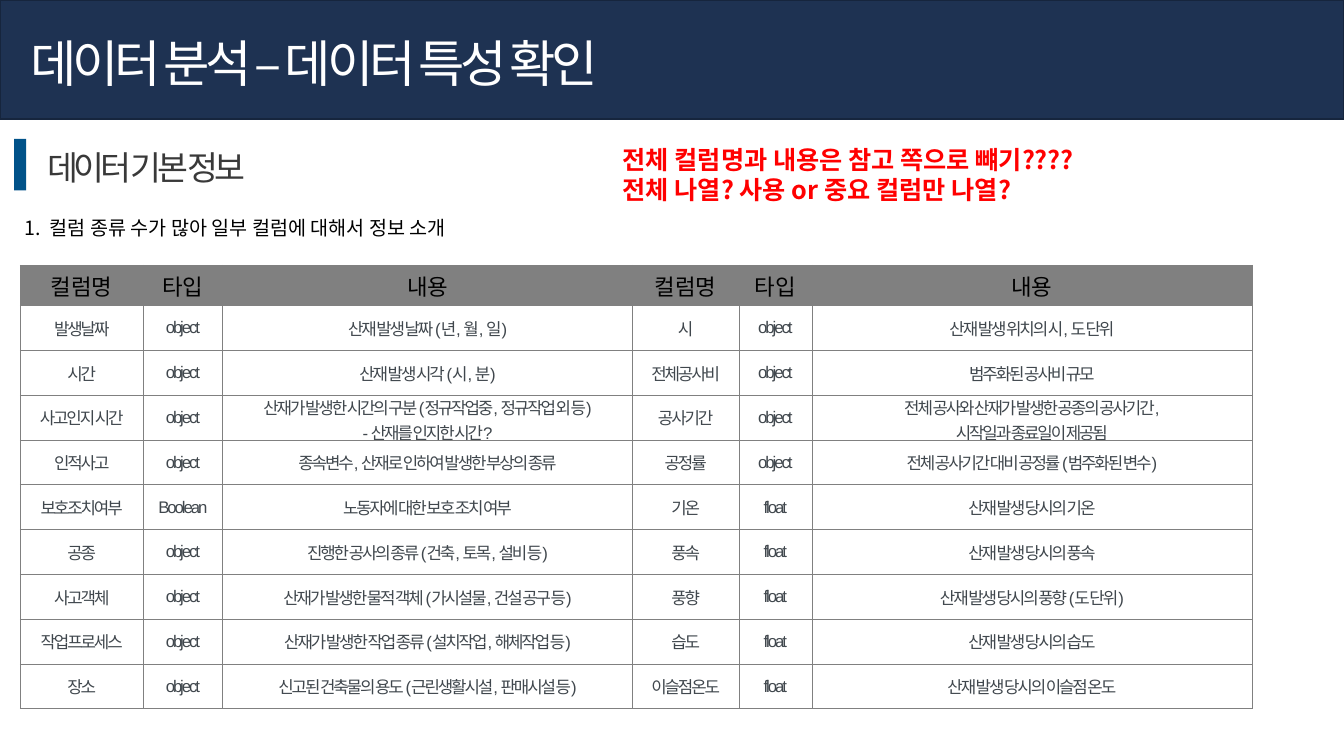
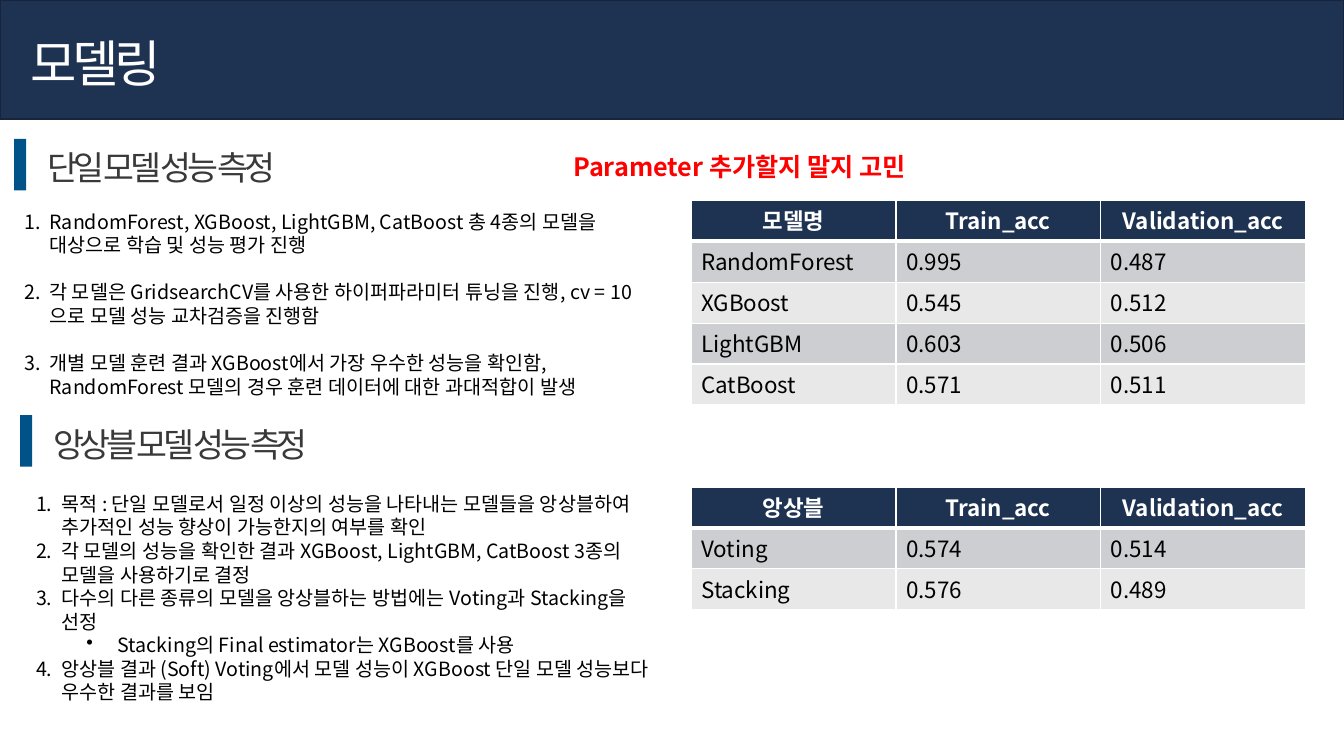
from dataclasses import dataclass, replace

from pptx import Presentation
from pptx.dml.color import RGBColor
from pptx.enum.shapes import MSO_SHAPE
from pptx.enum.text import MSO_ANCHOR, MSO_AUTO_SIZE, PP_ALIGN
from pptx.oxml import parse_xml
from pptx.oxml.ns import nsdecls, qn
from pptx.util import Cm, Pt

NAVY, BLUE, WHITE, BLACK, GRAY = "1E3252", "005289", "FFFFFF", "000000", "808080"
STRIPES = ("CDCED1", "E8E8E9")
PAGE_WIDTH, PAGE_HEIGHT = 33.87, 19.05
PLAIN_TABLE = "{2D5ABB26-0587-4C30-8999-92F81FD0307C}"
KOREAN = "Noto Sans CJK KR"


@dataclass(frozen=True)
class TextStyle:
    """Font, size, colour and spacing of a paragraph."""

    size: float
    color: str
    leading: float = 0
    tracking: int = 0
    bold: bool = False
    name: str = KOREAN


TITLE = TextStyle(36, WHITE, 46.8, -300)
HEADING = TextStyle(24, "393939", 31.2, -300)
BODY = TextStyle(14, BLACK, 16.8)
REMARK = TextStyle(18, "FF0000", 21.6, bold=True)
COLUMN_HEAD = TextStyle(16, BLACK, name="Arial")
COLUMN_CELL = TextStyle(12, "40474D", tracking=-150, name="Arial")
SCORE_CELL = TextStyle(16, BLACK, 22)
SCORE_HEAD = replace(SCORE_CELL, color=WHITE, bold=True)

COLUMN_TITLES = ("컬럼명", "타입", "내용") * 2
COLUMN_ROWS = (
    ("발생날짜", "object", "산재 발생 날짜 (년, 월, 일)",
     "시", "object", "산재 발생 위치의 시, 도 단위"),
    ("시간", "object", "산재 발생 시각 (시, 분)",
     "전체공사비", "object", "범주화된 공사비 규모"),
    ("사고인지 시간", "object",
     "산재가 발생한 시간의 구분 (정규작업중, 정규작업 외 등)\n- 산재를 인지한 시간?",
     "공사기간", "object",
     "전체 공사와 산재가 발생한 공종의 공사기간,\n시작일과 종료일이 제공됨"),
    ("인적사고", "object", "종속변수, 산재로 인하여 발생한 부상의 종류",
     "공정률", "object", "전체 공사기간 대비 공정률 (범주화된 변수)"),
    ("보호조치여부", "Boolean", "노동자에 대한 보호 조치 여부",
     "기온", "float", "산재 발생 당시의 기온"),
    ("공종", "object", "진행한 공사의 종류 (건축, 토목, 설비 등)",
     "풍속", "float", "산재 발생 당시의 풍속"),
    ("사고객체", "object", "산재가 발생한 물적 객체 (가시설물, 건설 공구 등)",
     "풍향", "float", "산재 발생 당시의 풍향 (도 단위)"),
    ("작업프로세스", "object", "산재가 발생한 작업 종류 (설치작업, 해체작업 등)",
     "습도", "float", "산재 발생 당시의 습도"),
    ("장소", "object", "신고된 건축물의 용도 (근린생활시설, 판매시설 등)",
     "이슬점온도", "float", "산재 발생 당시의 이슬점 온도"),
)
SINGLE_POINTS = (
    "RandomForest, XGBoost, LightGBM, CatBoost 총 4종의 모델을 대상으로 학습 및 성능 평가 진행",
    "각 모델은 GridsearchCV를 사용한 하이퍼파라미터 튜닝을 진행, cv = 10으로 모델 성능 교차검증을 진행함",
    "개별 모델 훈련 결과 XGBoost에서 가장 우수한 성능을 확인함, "
    "RandomForest 모델의 경우 훈련 데이터에 대한 과대적합이 발생",
)
ENSEMBLE_POINTS = (
    "목적 : 단일 모델로서 일정 이상의 성능을 나타내는 모델들을 앙상블하여 "
    "추가적인 성능 향상이 가능한지의 여부를 확인",
    "각 모델의 성능을 확인한 결과 XGBoost, LightGBM, CatBoost 3종의 모델을 사용하기로 결정",
    "다수의 다른 종류의 모델을 앙상블하는 방법에는 Voting과 Stacking을 선정",
    ("Stacking의 Final estimator는 XGBoost를 사용",),
    "앙상블 결과 (Soft) Voting에서 모델 성능이 XGBoost 단일 모델 성능보다 우수한 결과를 보임",
)
SINGLE_SCORES = (
    ("RandomForest", "0.995", "0.487"),
    ("XGBoost", "0.545", "0.512"),
    ("LightGBM", "0.603", "0.506"),
    ("CatBoost", "0.571", "0.511"),
)
ENSEMBLE_SCORES = (("Voting", "0.574", "0.514"), ("Stacking", "0.576", "0.489"))


def rgb(value):
    """Turn a hex string into a colour."""
    return RGBColor.from_string(value)


def write(frame, lines, style, align=PP_ALIGN.LEFT):
    """Fill a text frame with one styled paragraph per line."""
    frame.text = "\n".join(lines)
    for paragraph in frame.paragraphs:
        paragraph.alignment = align
        font = paragraph.font
        font.name, font.size, font.bold = style.name, Pt(style.size), style.bold
        font.color.rgb = rgb(style.color)
        if style.leading:
            paragraph.line_spacing = Pt(style.leading)
        properties = paragraph._p.pPr.find(qn("a:defRPr"))
        properties.set("spc", str(style.tracking))
        if style.name == KOREAN:
            latin = properties.find(qn("a:latin"))
            latin.addnext(parse_xml(f'<a:ea {nsdecls("a")} typeface="{KOREAN}"/>'))


def add_text(page, left, top, width, height, lines, style, wrap=True):
    """Add a text box that grows with its text."""
    box = page.shapes.add_textbox(Cm(left), Cm(top), Cm(width), Cm(height))
    frame = box.text_frame
    frame.word_wrap = wrap
    frame.auto_size = MSO_AUTO_SIZE.SHAPE_TO_FIT_TEXT
    write(frame, lines, style)
    return frame


def add_block(page, left, top, width, height, fill, line=None):
    """Add a plain filled rectangle."""
    block = page.shapes.add_shape(
        MSO_SHAPE.RECTANGLE, Cm(left), Cm(top), Cm(width), Cm(height))
    block.shadow.inherit = False
    block.fill.solid()
    block.fill.fore_color.rgb = rgb(fill)
    if line:
        block.line.color.rgb = rgb(line)
        block.line.width = Pt(1)
    else:
        block.line.fill.background()


def add_page(deck, title, title_width):
    """Add a page with its navy title band."""
    page = deck.slides.add_slide(deck.slide_layouts[6])
    add_block(page, 0, 0, PAGE_WIDTH, 3, NAVY, "16253D")
    add_text(page, 0.51, 0.56, title_width, 1.8, [title], TITLE, wrap=False)
    return page


def add_heading(page, left, top, width, text):
    """Add a section heading with its blue bar."""
    add_block(page, left, top, 0.3, 1.3, BLUE)
    add_text(page, left + 0.58, top, width, 1.27, [text], HEADING, wrap=False)


def add_list(page, left, top, width, height, points, gap=0):
    """Add a numbered list in which a tuple is a bulleted sub-point."""
    lines = [point if isinstance(point, str) else point[0] for point in points]
    frame = add_text(page, left, top, width, height, lines, BODY)
    for point, paragraph in zip(points, frame.paragraphs):
        nested = isinstance(point, tuple)
        margin, hanging = (2.06, 0.79) if nested else (0.64, 0.64)
        mark = 'buChar {} char="•"' if nested else 'buAutoNum {} type="arabicPeriod"'
        properties = paragraph._p.pPr
        properties.set("marL", str(Cm(margin)))
        properties.set("indent", str(-Cm(hanging)))
        paragraph.level = int(nested)
        if point is not points[-1]:
            paragraph.space_after = Pt(gap)
        bullet = parse_xml(f"<a:{mark.format(nsdecls('a'))}/>")
        properties.find(qn("a:defRPr")).addprevious(bullet)


def set_borders(cell, color, widths):
    """Draw the left, right, top and bottom borders of a cell."""
    properties = cell._tc.get_or_add_tcPr()
    for index, (side, width) in enumerate(zip("LRTB", widths)):
        properties.insert(index, parse_xml(
            f'<a:ln{side} {nsdecls("a")} w="{Pt(width)}"><a:solidFill>'
            f'<a:srgbClr val="{color}"/></a:solidFill></a:ln{side}>'))


def add_grid(page, left, top, widths, heights, rows):
    """Add an unstyled table and yield each cell with its row number and text."""
    shape = page.shapes.add_table(
        len(rows), len(widths), Cm(left), Cm(top), Cm(sum(widths)), Cm(sum(heights)))
    table = shape.table
    table.horz_banding = False
    table._tbl.tblPr.find(qn("a:tableStyleId")).text = PLAIN_TABLE
    for column, width in zip(table.columns, widths):
        column.width = Cm(width)
    for number, (row, height, texts) in enumerate(zip(table.rows, heights, rows)):
        row.height = Cm(height)
        for cell, text in zip(row.cells, texts):
            cell.fill.solid()
            yield cell, number, text


def add_column_table(page):
    """Add the table that describes the data columns."""
    widths = (3.1, 2, 10.33, 2.68, 1.84, 11.09)
    rows = (COLUMN_TITLES, *COLUMN_ROWS)
    heights = [1.02] + [1.13] * len(COLUMN_ROWS)
    for cell, number, text in add_grid(page, 0.51, 6.68, widths, heights, rows):
        cell.fill.fore_color.rgb = rgb(WHITE if number else GRAY)
        cell.vertical_anchor = MSO_ANCHOR.MIDDLE
        cell.margin_top = cell.margin_bottom = 0
        style = COLUMN_CELL if number else COLUMN_HEAD
        write(cell.text_frame, text.split("\n"), style, PP_ALIGN.CENTER)
        set_borders(cell, GRAY, [0.5] * 4)


def add_score_table(page, top, label, scores):
    """Add a striped table of model accuracies."""
    rows = ((label, "Train_acc", "Validation_acc"), *scores)
    heights = [1.03] * len(rows)
    for cell, number, text in add_grid(page, 17.42, top, [5.16] * 3, heights, rows):
        if number:
            fill, style, align = STRIPES[(number - 1) % 2], SCORE_CELL, PP_ALIGN.LEFT
        else:
            fill, style, align = NAVY, SCORE_HEAD, PP_ALIGN.CENTER
        cell.fill.fore_color.rgb = rgb(fill)
        write(cell.text_frame, [text], style, align)
        set_borders(cell, WHITE, (1, 1, 3 if number == 1 else 1, 1 if number else 3))


def build_data_page(deck):
    """Build the page about the data columns."""
    page = add_page(deck, "데이터 분석 – 데이터 특성 확인", 16.89)
    add_heading(page, 0.36, 3.5, 6.15, "데이터 기본 정보")
    add_list(page, 0.36, 5.31, 24.8, 0.86, ["컬럼 종류 수가 많아 일부 컬럼에 대해서 정보 소개"])
    add_column_table(page)
    add_text(page, 15.44, 3.5, 15.93, 1.8,
             ["전체 컬럼명과 내용은 참고 쪽으로 뺴기????",
              "전체 나열? 사용 or 중요 컬럼만 나열?"], REMARK)


def build_model_page(deck):
    """Build the page about model performance."""
    page = add_page(deck, "모델링", 4.04)
    add_heading(page, 0.36, 3.5, 7.09, "단일 모델 성능 측정")
    add_list(page, 0.36, 5.16, 16.36, 5.05, SINGLE_POINTS, gap=BODY.leading)
    add_heading(page, 0.51, 10.46, 7.82, "앙상블 모델 성능 측정")
    add_list(page, 0.66, 12.27, 16.36, 5.64, ENSEMBLE_POINTS)
    add_score_table(page, 5.05, "모델명", SINGLE_SCORES)
    add_score_table(page, 12.27, "앙상블", ENSEMBLE_SCORES)
    add_text(page, 14.2, 3.68, 10.44, 1.02, ["Parameter 추가할지 말지 고민"], REMARK)


def main():
    """Build and save the deck."""
    deck = Presentation()
    deck.slide_width, deck.slide_height = Cm(PAGE_WIDTH), Cm(PAGE_HEIGHT)
    build_data_page(deck)
    build_model_page(deck)
    deck.save("out.pptx")


if __name__ == "__main__":
    main()
